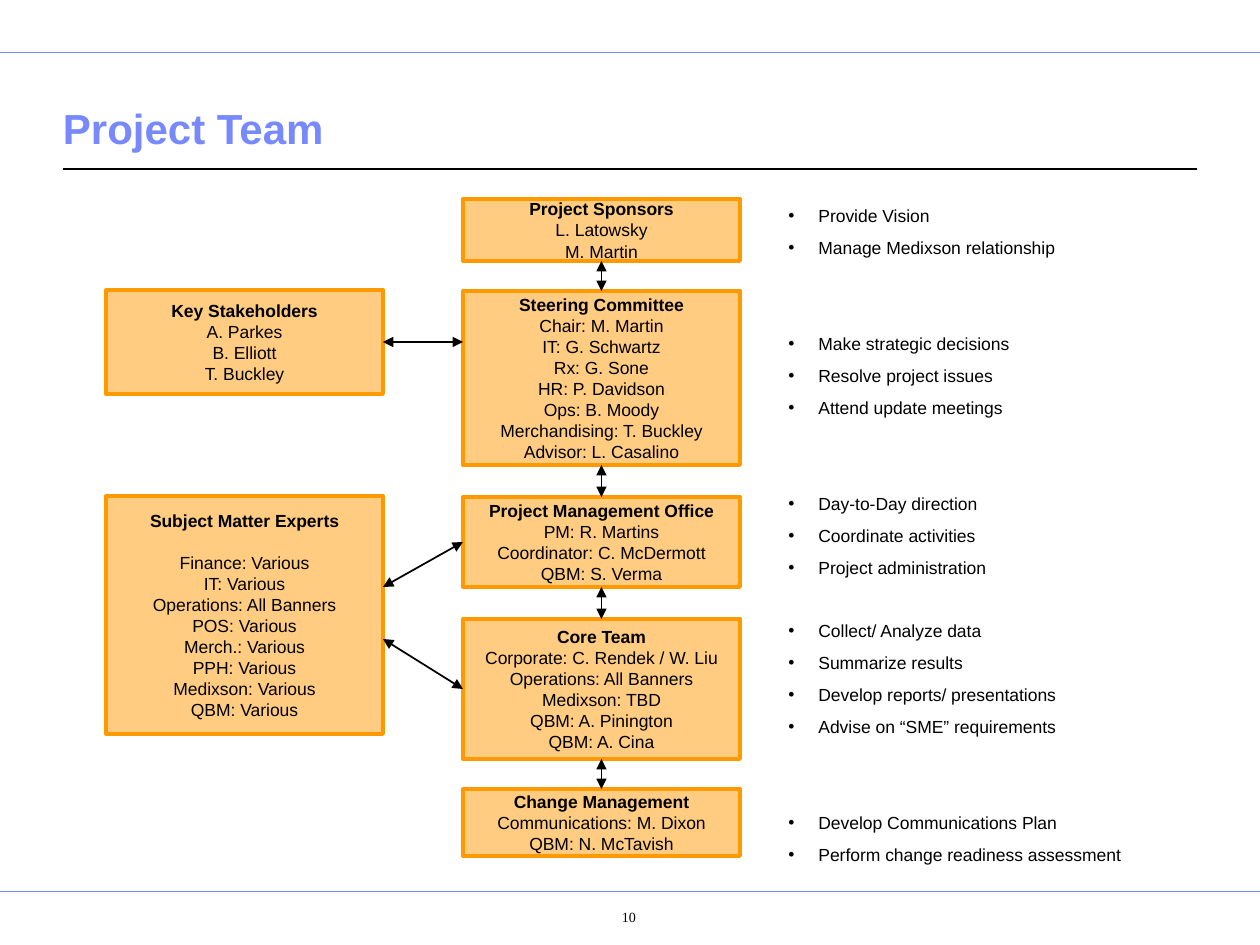
from dataclasses import dataclass

from lxml import etree
from pptx import Presentation
from pptx import util as u
from pptx.dml.color import RGBColor
from pptx.enum import shapes, text
from pptx.oxml.ns import qn

SCALE = 914400 / 126
BOX_WIDTH = 277
CENTRE_X, LEFT_X = 463, 106
BULLET_INDENT = 30
BULLET_GAP, LINE_PITCH = 6.2, 18.3
TOP, LEFT, BOTTOM, RIGHT = range(4)
COLORS = {
    "title": "7889FB",
    "rule": "7889FB",
    "ink": "000000",
    "box": "FFCC81",
    "border": "FF9900",
}


@dataclass
class Team:
    x: int
    y: int
    height: int
    heading: str
    members: list[str]
    heading_gap: int = 0


@dataclass
class Label:
    wording: str
    x: int
    y: int
    width: int
    height: int
    size: int
    font: str
    color: str
    align: text.PP_ALIGN
    anchor: text.MSO_ANCHOR
    insets: tuple[int, int, int, int]
    bold: bool = False


@dataclass
class Duties:
    skipped_lines: int
    items: list[str]


TEAMS = {
    "sponsors": Team(CENTRE_X, 199, 62, "Project Sponsors", ["L. Latowsky", "M. Martin"]),
    "steering": Team(CENTRE_X, 291, 174, "Steering Committee", [
        "Chair: M. Martin", "IT: G. Schwartz", "Rx: G. Sone", "HR: P. Davidson",
        "Ops: B. Moody", "Merchandising: T. Buckley", "Advisor: L. Casalino"]),
    "office": Team(CENTRE_X, 497, 90, "Project Management Office", [
        "PM: R. Martins", "Coordinator: C. McDermott", "QBM: S. Verma"]),
    "core": Team(CENTRE_X, 619, 140, "Core Team", [
        "Corporate: C. Rendek / W. Liu", "Operations: All Banners", "Medixson: TBD",
        "QBM: A. Pinington", "QBM: A. Cina"]),
    "change": Team(CENTRE_X, 789, 67, "Change Management", [
        "Communications: M. Dixon", "QBM: N. McTavish"]),
    "stakeholders": Team(LEFT_X, 290, 104, "Key Stakeholders", [
        "A. Parkes", "B. Elliott", "T. Buckley"]),
    "experts": Team(LEFT_X, 496, 238, "Subject Matter Experts", [
        "Finance: Various", "IT: Various", "Operations: All Banners", "POS: Various",
        "Merch.: Various", "PPH: Various", "Medixson: Various", "QBM: Various"], 12),
}
CHAIN = ["sponsors", "steering", "office", "core", "change"]

DUTIES = [
    Duties(0, ["Provide Vision", "Manage Medixson relationship"]),
    Duties(2, ["Make strategic decisions", "Resolve project issues", "Attend update meetings"]),
    Duties(2, ["Day-to-Day direction", "Coordinate activities", "Project administration"]),
    Duties(1, ["Collect/ Analyze data", "Summarize results", "Develop reports/ presentations",
               "Advise on “SME” requirements"]),
    Duties(2, ["Develop Communications Plan", "Perform change readiness assessment"]),
]

LABELS = [
    Label("Project Team", 63, 80, 1134, 79, 24, "Arial", "title",
          text.PP_ALIGN.LEFT, text.MSO_ANCHOR.BOTTOM, (0, 6, 0, 6), bold=True),
    Label("10", 538, 900, 145, 44, 8, "Times New Roman", "ink",
          text.PP_ALIGN.CENTER, text.MSO_ANCHOR.TOP, (50, 9, 13, 6)),
]


def px(length: int) -> int:
    return round(length * SCALE)


def color(name: str) -> RGBColor:
    return RGBColor.from_string(COLORS[name])


def style(paragraph, size: int, font: str, ink: str, bold: bool = False) -> None:
    for run in paragraph.runs:
        run.font.size = u.Pt(size)
        run.font.name = font
        run.font.bold = bold
        run.font.color.rgb = color(ink)


def set_insets(frame, left: int, top: int, right: int, bottom: int) -> None:
    frame.margin_left, frame.margin_top = px(left), px(top)
    frame.margin_right, frame.margin_bottom = px(right), px(bottom)


def draw_line(slide, start: tuple[int, int], end: tuple[int, int], ink: str, width: float):
    line = slide.shapes.add_connector(
        shapes.MSO_CONNECTOR.STRAIGHT, *map(px, start), *map(px, end))
    line.line.color.rgb = color(ink)
    line.line.width = u.Pt(width)
    etree.SubElement(line._element.spPr, qn("a:effectLst"))
    return line


def draw_arrow(slide, start: tuple[int, int], end: tuple[int, int]):
    arrow = draw_line(slide, start, end, "ink", 1)
    outline = arrow.line._get_or_add_ln()
    for tip in ("a:headEnd", "a:tailEnd"):
        etree.SubElement(outline, qn(tip), type="triangle")
    return arrow


def draw_team(slide, team: Team):
    box = slide.shapes.add_shape(shapes.MSO_SHAPE.RECTANGLE, px(team.x), px(team.y),
                                 px(BOX_WIDTH), px(team.height))
    box.shadow.inherit = False
    box.fill.solid()
    box.fill.fore_color.rgb = color("box")
    box.line.color.rgb = color("border")
    box.line.width = u.Pt(2.25)
    frame = box.text_frame
    frame.word_wrap = True
    frame.vertical_anchor = text.MSO_ANCHOR.MIDDLE
    frame.text = "\n".join([team.heading, *team.members])
    for index, paragraph in enumerate(frame.paragraphs):
        paragraph.alignment = text.PP_ALIGN.CENTER
        style(paragraph, 10, "Arial", "ink", bold=index == 0)
    if team.heading_gap:
        frame.paragraphs[0].space_after = u.Pt(team.heading_gap)
    return box


def draw_label(slide, label: Label) -> None:
    box = slide.shapes.add_textbox(*map(px, (label.x, label.y, label.width, label.height)))
    frame = box.text_frame
    frame.word_wrap = True
    frame.vertical_anchor = label.anchor
    set_insets(frame, *label.insets)
    frame.text = label.wording
    frame.paragraphs[0].alignment = label.align
    style(frame.paragraphs[0], label.size, label.font, label.color, label.bold)


def draw_duties(slide, groups: list[Duties]) -> None:
    frame = slide.shapes.add_textbox(px(776), px(199), px(411), px(673)).text_frame
    frame.word_wrap = True
    frame.text = "\n".join(item for group in groups for item in group.items)
    paragraphs = iter(frame.paragraphs)
    for group in groups:
        for index, paragraph in zip(range(len(group.items)), paragraphs):
            skipped = group.skipped_lines if index == 0 else 0
            first = group is groups[0] and index == 0
            paragraph.space_before = u.Pt(0 if first else BULLET_GAP + skipped * LINE_PITCH)
            properties = paragraph._p.get_or_add_pPr()
            properties.set("marL", str(px(BULLET_INDENT)))
            properties.set("indent", str(-px(BULLET_INDENT)))
            etree.SubElement(properties, qn("a:buFont"), typeface="Arial")
            etree.SubElement(properties, qn("a:buChar"), char="•")
            style(paragraph, 10, "Arial", "ink")


def main() -> None:
    deck = Presentation()
    deck.slide_width, deck.slide_height = px(1260), px(945)
    slide = deck.slides.add_slide(deck.slide_layouts[6])

    for y in (52, 891):
        draw_line(slide, (0, y), (1260, y), "rule", 0.5)
    draw_line(slide, (63, 169), (1197, 169), "ink", 0.75)
    for label in LABELS:
        draw_label(slide, label)

    boxes = {name: draw_team(slide, team) for name, team in TEAMS.items()}
    for upper, lower in zip(CHAIN, CHAIN[1:]):
        arrow = draw_arrow(slide, (0, 0), (0, 0))
        arrow.begin_connect(boxes[upper], BOTTOM)
        arrow.end_connect(boxes[lower], TOP)

    left_edge = LEFT_X + BOX_WIDTH
    stakeholder_link = draw_arrow(slide, (left_edge, 342), (CENTRE_X, 342))
    stakeholder_link.begin_connect(boxes["stakeholders"], RIGHT)
    for y, name in ((587, "office"), (639, "core")):
        expert_link = draw_arrow(slide, (left_edge, y), (CENTRE_X, y))
        expert_link.end_connect(boxes[name], LEFT)

    draw_duties(slide, DUTIES)
    deck.save("out.pptx")


if __name__ == "__main__":
    main()
